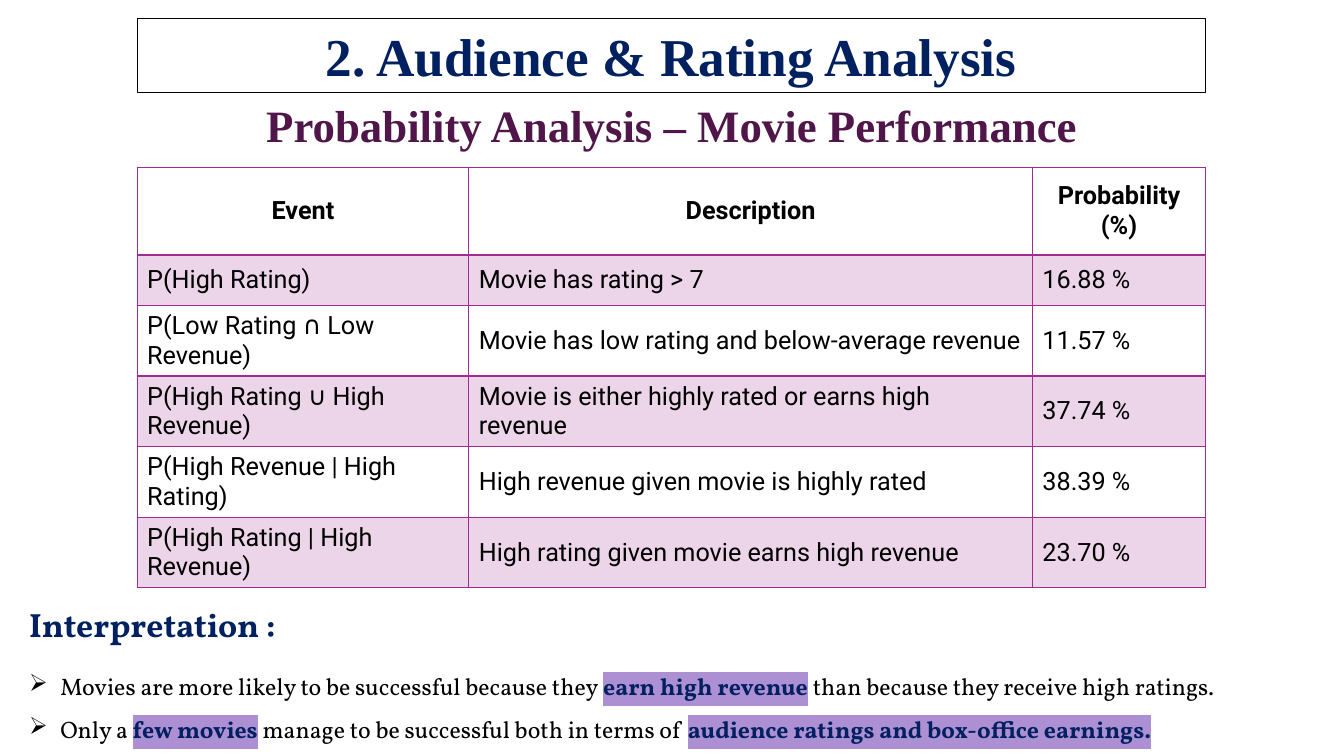
"""Build the movie probability analysis slide."""
from lxml.etree import SubElement
from pptx import Presentation
from pptx.dml.color import RGBColor
from pptx.enum.shapes import MSO_SHAPE
from pptx.enum.text import MSO_ANCHOR, MSO_AUTO_SIZE, PP_ALIGN
from pptx.oxml.ns import qn
from pptx.util import Inches, Pt

NAVY, PLUM, MAGENTA, LILAC, BLACK = "002060", "501649", "A02B93", "AD90D4", "000000"
SERIF, SANS, BOOK = "Times New Roman", "Roboto", "Vollkorn"

TITLE = "2. Audience & Rating Analysis"
SUBTITLE = "Probability Analysis – Movie Performance"
EVENTS = [
    ("Event", "Description", "Probability (%)"),
    ("P(High Rating)", "Movie has rating > 7", "16.88 %"),
    ("P(Low Rating ∩ Low Revenue)", "Movie has low rating and below-average revenue", "11.57 %"),
    ("P(High Rating ∪ High Revenue)", "Movie is either highly rated or earns high revenue", "37.74 %"),
    ("P(High Revenue | High Rating)", "High revenue given movie is highly rated", "38.39 %"),
    ("P(High Rating | High Revenue)", "High rating given movie earns high revenue", "23.70 %"),
]
COLUMN_WIDTHS = (3.29, 5.59, 1.72)
ROW_HEIGHTS = (0.87, 0.5, 0.7, 0.7, 0.7, 0.7)
INTERPRETATION = "Interpretation :"
FINDINGS = [
    [("Movies are more likely to be successful because they ", False),
     ("earn high revenue", True),
     (" than because they receive high ratings.", False)],
    [("Only a ", False),
     ("few movies", True),
     (" manage to be successful both in terms of ", False),
     ("audience ratings and box-office earnings.", True)],
]


def rgb(value):
    return RGBColor.from_string(value)


def style(font, name, size, color=None, bold=None):
    font.name, font.size, font.bold = name, Pt(size), bold
    if color:
        font.color.rgb = rgb(color)


def write(paragraph, text, name, size, color, bold, align=PP_ALIGN.LEFT):
    paragraph.text = text
    paragraph.alignment = align
    style(paragraph.font, name, size, color, bold)


def add_solid(parent, color):
    solid = SubElement(parent, qn("a:solidFill"))
    return SubElement(solid, qn("a:srgbClr"), val=color)


def add_text_box(slide, left, top, width, height):
    frame = slide.shapes.add_textbox(*map(Inches, (left, top, width, height))).text_frame
    frame.word_wrap = True
    frame.auto_size = MSO_AUTO_SIZE.SHAPE_TO_FIT_TEXT
    return frame


def add_title(slide):
    banner = slide.shapes.add_shape(MSO_SHAPE.RECTANGLE, *map(Inches, (1.36, 0.18, 10.6, 0.74)))
    banner.shadow.inherit = False
    banner.fill.background()
    banner.line.color.rgb = rgb(BLACK)
    banner.line.width = Pt(0.75)
    banner.text_frame.word_wrap = True
    write(banner.text_frame.paragraphs[0], TITLE, SERIF, 38, NAVY, True, PP_ALIGN.CENTER)
    subtitle = add_text_box(slide, 1.89, 0.92, 9.55, 0.64)
    write(subtitle.paragraphs[0], SUBTITLE, SERIF, 32, PLUM, True, PP_ALIGN.CENTER)


def set_borders(cell, row):
    properties = cell._tc.get_or_add_tcPr()
    widths = {"L": 1, "R": 1, "T": 2 if row == 1 else 1, "B": 2 if row == 0 else 1}
    for side, width in widths.items():
        add_solid(SubElement(properties, qn(f"a:ln{side}"), w=str(Pt(width))), MAGENTA)


def add_events(slide):
    box = (1.36, 1.66, sum(COLUMN_WIDTHS), sum(ROW_HEIGHTS))
    events = slide.shapes.add_table(len(EVENTS), len(COLUMN_WIDTHS), *map(Inches, box)).table
    events.first_row = events.horz_banding = False
    for column, width in zip(events.columns, COLUMN_WIDTHS):
        column.width = Inches(width)
    for row, (entries, height) in enumerate(zip(EVENTS, ROW_HEIGHTS)):
        events.rows[row].height = Inches(height)
        header = row == 0
        for column, entry in enumerate(entries):
            cell = events.cell(row, column)
            cell.vertical_anchor = MSO_ANCHOR.MIDDLE
            write(cell.text_frame.paragraphs[0], entry, SANS, 18, BLACK, header,
                  PP_ALIGN.CENTER if header else PP_ALIGN.LEFT)
            set_borders(cell, row)
            if row % 2:
                cell.fill.solid()
                cell.fill.fore_color.rgb = rgb(MAGENTA)
                tint = cell._tc.tcPr.find(qn("a:solidFill"))[0]
                SubElement(tint, qn("a:alpha"), val="20000")
            else:
                cell.fill.background()


def add_finding(paragraph, pieces):
    properties = paragraph._p.get_or_add_pPr()
    indent = Inches(0.31)
    properties.set("marL", str(indent))
    properties.set("indent", str(-indent))
    SubElement(properties, qn("a:buChar"), char="➢")
    style(paragraph.font, BOOK, 17)
    for text, marked in pieces:
        run = paragraph.add_run()
        run.text = text
        run.font.bold = marked
        run.font.color.rgb = rgb(NAVY if marked else BLACK)
        if marked:
            highlight = SubElement(run._r.rPr, qn("a:highlight"))
            SubElement(highlight, qn("a:srgbClr"), val=LILAC)


def add_interpretation(slide):
    frame = add_text_box(slide, 0.19, 5.94, 13.14, 1.41)
    write(frame.paragraphs[0], INTERPRETATION, BOOK, 24, NAVY, True)
    revenue, both = (frame.add_paragraph() for _ in FINDINGS)
    revenue.space_before = Pt(19.5)
    both.line_spacing = 1.5
    for paragraph, pieces in zip((revenue, both), FINDINGS):
        add_finding(paragraph, pieces)


def main():
    deck = Presentation()
    deck.slide_width, deck.slide_height = Inches(13.33), Inches(7.5)
    slide = deck.slides.add_slide(deck.slide_layouts[6])
    add_title(slide)
    add_events(slide)
    add_interpretation(slide)
    deck.save("out.pptx")


if __name__ == "__main__":
    main()
